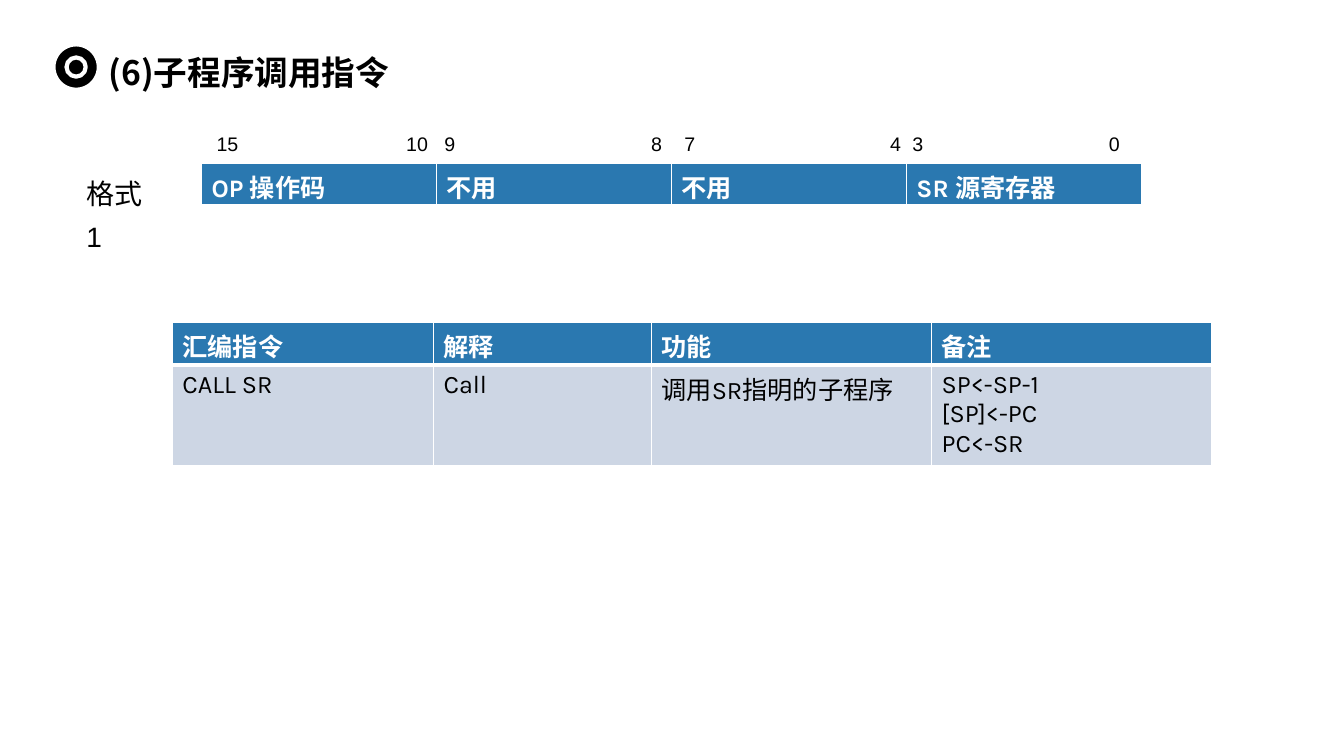
from lxml import etree
from pptx import Presentation
from pptx.dml.color import RGBColor
from pptx.enum import shapes, text
from pptx.oxml import ns
from pptx.util import Inches, Pt

BLACK = RGBColor(0x00, 0x00, 0x00)
WHITE = RGBColor(0xFF, 0xFF, 0xFF)
HEADER_BLUE = RGBColor(0x2A, 0x78, 0xB0)
BODY_GREY = RGBColor(0xCD, 0xD6, 0xE4)
CHINESE_FONT = "Noto Sans CJK SC"
BIT_NUMBERS = ["15", "10", "9", "8", "7", "4", "3", "0"]
BIT_TABS = [1.88, 2.26, 4.31, 4.64, 6.68, 6.9, 8.85]
FORMAT_FIELDS = [["OP 操作码", "不用", "不用", "SR 源寄存器"]]
CALL_ROWS = [
    ["汇编指令", "解释", "功能", "备注"],
    ["CALL SR", "Call", "调用SR指明的子程序", "SP<-SP-1\n[SP]<-PC\nPC<-SR"],
]


def add_span(para, words, size, font, color=BLACK, bold=False):
    span = para.add_run()
    span.text = words
    span.font.size = Pt(size)
    span.font.name = font
    span.font.bold = bold
    span.font.color.rgb = color
    east_asian = etree.SubElement(span.font._element, ns.qn("a:ea"))
    east_asian.set("typeface", CHINESE_FONT)


def add_label(page, place, words, size, font, spacing, bold=False,
              anchor=text.MSO_ANCHOR.TOP, tabs=()):
    box = page.shapes.add_textbox(*map(Inches, place))
    frame = box.text_frame
    frame.word_wrap = True
    frame.vertical_anchor = anchor
    para = frame.paragraphs[0]
    para.line_spacing = spacing
    if tabs:
        tab_list = etree.SubElement(para._p.get_or_add_pPr(), ns.qn("a:tabLst"))
        for position in tabs:
            tab = etree.SubElement(tab_list, ns.qn("a:tab"))
            tab.set("pos", str(Inches(position)))
            tab.set("algn", "l")
    add_span(para, words, size, font, bold=bold)


def add_target(page):
    group = page.shapes.add_group_shape()
    for left, top, size in [(0.53, 0.44, 0.45), (0.66, 0.57, 0.19)]:
        disc = group.shapes.add_shape(
            shapes.MSO_SHAPE.OVAL, *map(Inches, (left, top, size, size)))
        disc.shadow.inherit = False
        disc.fill.solid()
        disc.fill.fore_color.rgb = BLACK
        disc.line.color.rgb = WHITE
        disc.line.width = Pt(3)


def add_borders(cell, top, bottom):
    properties = cell._tc.get_or_add_tcPr()
    for side, width in [("L", 1), ("R", 1), ("T", top), ("B", bottom)]:
        border = etree.SubElement(properties, ns.qn(f"a:ln{side}"))
        border.set("w", str(Pt(width)))
        fill = etree.SubElement(border, ns.qn("a:solidFill"))
        etree.SubElement(fill, ns.qn("a:srgbClr")).set("val", str(WHITE))


def fill_cell(cell, words, is_header):
    add_borders(cell, *((1, 3) if is_header else (3, 1)))
    cell.fill.solid()
    cell.fill.fore_color.rgb = HEADER_BLUE if is_header else BODY_GREY
    frame = cell.text_frame
    for index, line in enumerate(words.split("\n")):
        para = frame.add_paragraph() if index else frame.paragraphs[0]
        add_span(para, line, 18, "Karla", WHITE if is_header else BLACK, is_header)


def add_grid(page, left, top, widths, heights, rows):
    place = (left, top, sum(widths), sum(heights))
    table = page.shapes.add_table(
        len(rows), len(widths), *map(Inches, place)).table
    for column, width in zip(table.columns, widths):
        column.width = Inches(width)
    for row, height in zip(table.rows, heights):
        row.height = Inches(height)
    for row_index, row in enumerate(rows):
        for column_index, words in enumerate(row):
            fill_cell(table.cell(row_index, column_index), words, row_index == 0)


def main():
    deck = Presentation()
    deck.slide_width = Inches(13.33)
    deck.slide_height = Inches(7.5)
    page = deck.slides.add_slide(deck.slide_layouts[6])
    add_label(page, (0.98, 0.32, 12.07, 0.7), "(6)子程序调用指令", 24,
              CHINESE_FONT, 1.2, bold=True, anchor=text.MSO_ANCHOR.MIDDLE)
    add_target(page)
    add_grid(page, 2, 1.62, [2.33] * 4, [0.42], FORMAT_FIELDS)
    add_label(page, (2.05, 1.19, 9.47, 0.41), "\t".join(BIT_NUMBERS), 14,
              "Arial", 1.3, tabs=BIT_TABS)
    add_label(page, (0.76, 1.6, 0.9, 0.54), "格式1", 20, "Arial", 1.3)
    add_grid(page, 1.71, 3.2, [2.59, 2.16, 2.78, 2.78], [0.42, 0.99], CALL_ROWS)
    deck.save("out.pptx")


if __name__ == "__main__":
    main()
